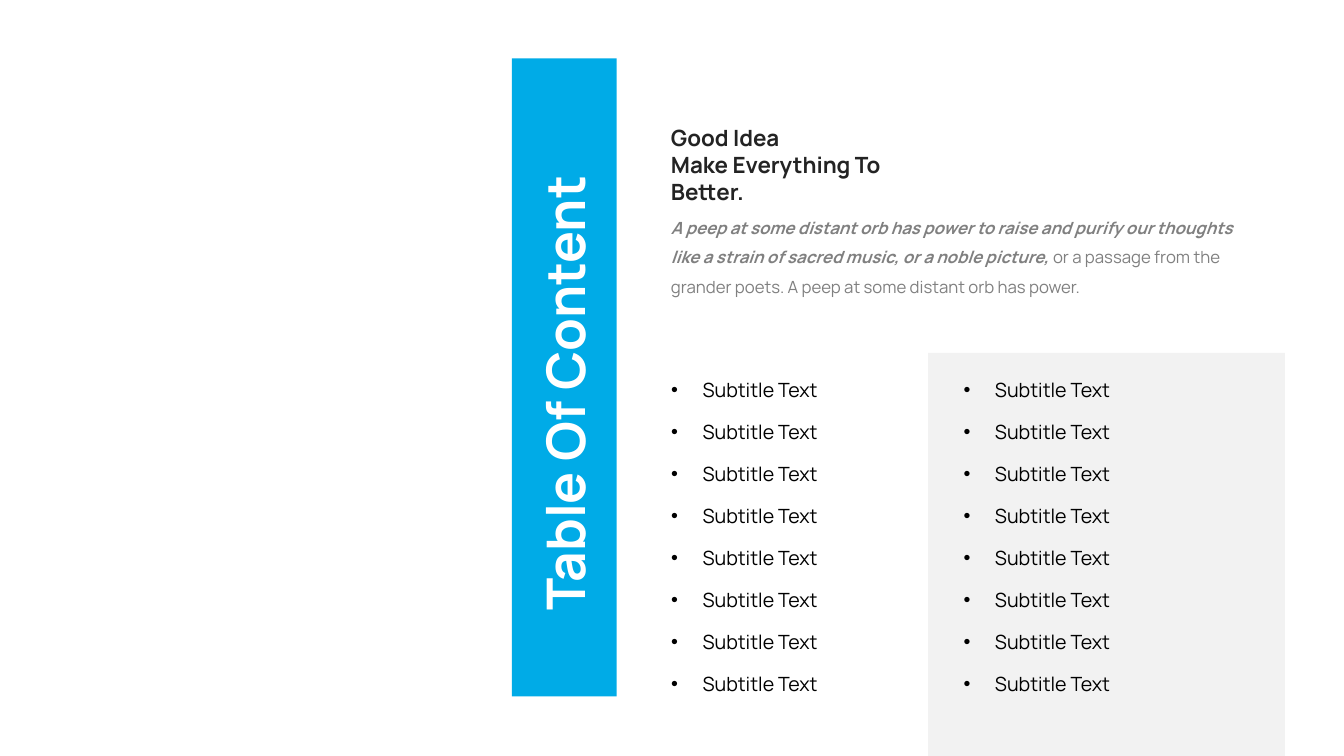
from lxml import etree
from pptx import Presentation
from pptx.dml.color import RGBColor
from pptx.enum import shapes, text
from pptx.oxml.ns import qn
from pptx.util import Cm, Pt

BLUE = RGBColor(0x00, 0xAB, 0xE7)
PALE = RGBColor(0xF2, 0xF2, 0xF2)
WHITE = RGBColor(0xFF, 0xFF, 0xFF)
BLACK = RGBColor(0x00, 0x00, 0x00)
DARK = RGBColor(0x23, 0x23, 0x23)
GREY = RGBColor(0x80, 0x80, 0x80)
LEFT = 16.66


def place(shape, left, top, width, height, wrap=True):
    """Set the position and the text frame's fitting; return the frame."""
    shape.left, shape.top = Cm(left), Cm(top)
    shape.width, shape.height = Cm(width), Cm(height)
    frame = shape.text_frame
    frame.word_wrap = wrap
    frame.auto_size = text.MSO_AUTO_SIZE.SHAPE_TO_FIT_TEXT
    frame.vertical_anchor = text.MSO_ANCHOR.TOP
    return frame


def style(run, size, color, bold=False, italic=False):
    font = run.font
    font.name, font.size = "Manrope", Pt(size)
    font.bold, font.italic = bold, italic
    font.color.rgb = color


prs = Presentation()
prs.slide_width, prs.slide_height = Cm(33.87), Cm(19.05)
slide = prs.slides.add_slide(prs.slide_layouts.get_by_name("Two Content"))
title, *lists = slide.placeholders

# Panels, behind the text
for color, *area in [(PALE, 23.39, 8.89, 8.99, 10.16),
                     (BLUE, 12.9, 1.47, 2.64, 16.08)]:
    panel = slide.shapes.add_shape(shapes.MSO_SHAPE.RECTANGLE, *map(Cm, area))
    panel.shadow.inherit = False
    panel.fill.solid()
    panel.fill.fore_color.rgb = color
    panel.line.fill.background()
    title.element.addprevious(panel.element)

# Vertical title
frame = place(title, 8.1, 8.59, 12.24, 1.88, wrap=False)
title.rotation = 270
frame.text = "Table Of Content"
para = frame.paragraphs[0]
para.alignment = text.PP_ALIGN.LEFT
style(para.runs[0], 38, WHITE, bold=True)

# Two lists
for body, left in zip(lists, (LEFT, 24.03)):
    frame = place(body, left, 8.94, 4.32, 8.69, wrap=False)
    frame.text = "\n".join(["Subtitle Text"] * 8)
    for para in frame.paragraphs:
        props = para._p.get_or_add_pPr()
        props.set("marL", str(Cm(0.79)))
        props.set("indent", str(-Cm(0.79)))
        etree.SubElement(props, qn("a:buFont")).set("typeface", "Arial")
        etree.SubElement(props, qn("a:buChar")).set("char", "•")
        para.line_spacing = Pt(30)
        para.space_before = Pt(0)
        style(para.runs[0], 14, BLACK)

# Introduction
intro = slide.shapes.add_textbox(0, 0, 0, 0)
para = place(intro, LEFT, 5.13, 15.16, 2.41).paragraphs[0]
para.line_spacing = Pt(21)
for words, strong in [
    ("A peep at some distant orb has power to raise and purify our thoughts "
     "like a strain of sacred music, or a noble picture, ", True),
    ("or a passage from the grander poets. "
     "A peep at some distant orb has power.", False),
]:
    run = para.add_run()
    run.text = words
    style(run, 12, GREY, bold=strong, italic=strong)

# Heading
head = slide.shapes.add_textbox(0, 0, 0, 0)
frame = place(head, LEFT, 3, 6.05, 2.31)
frame.text = "Good Idea\nMake Everything To Better."
for para in frame.paragraphs:
    style(para.runs[0], 16, DARK, bold=True)

prs.save("out.pptx")
